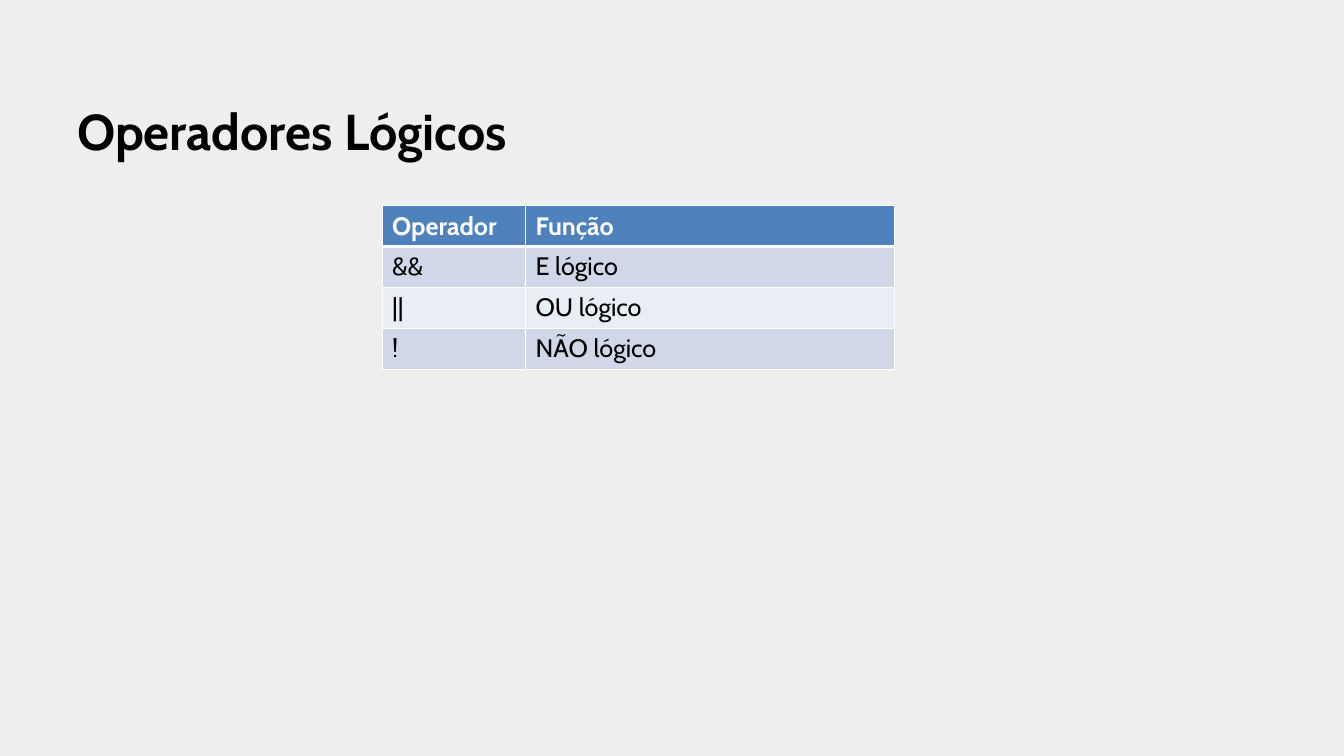
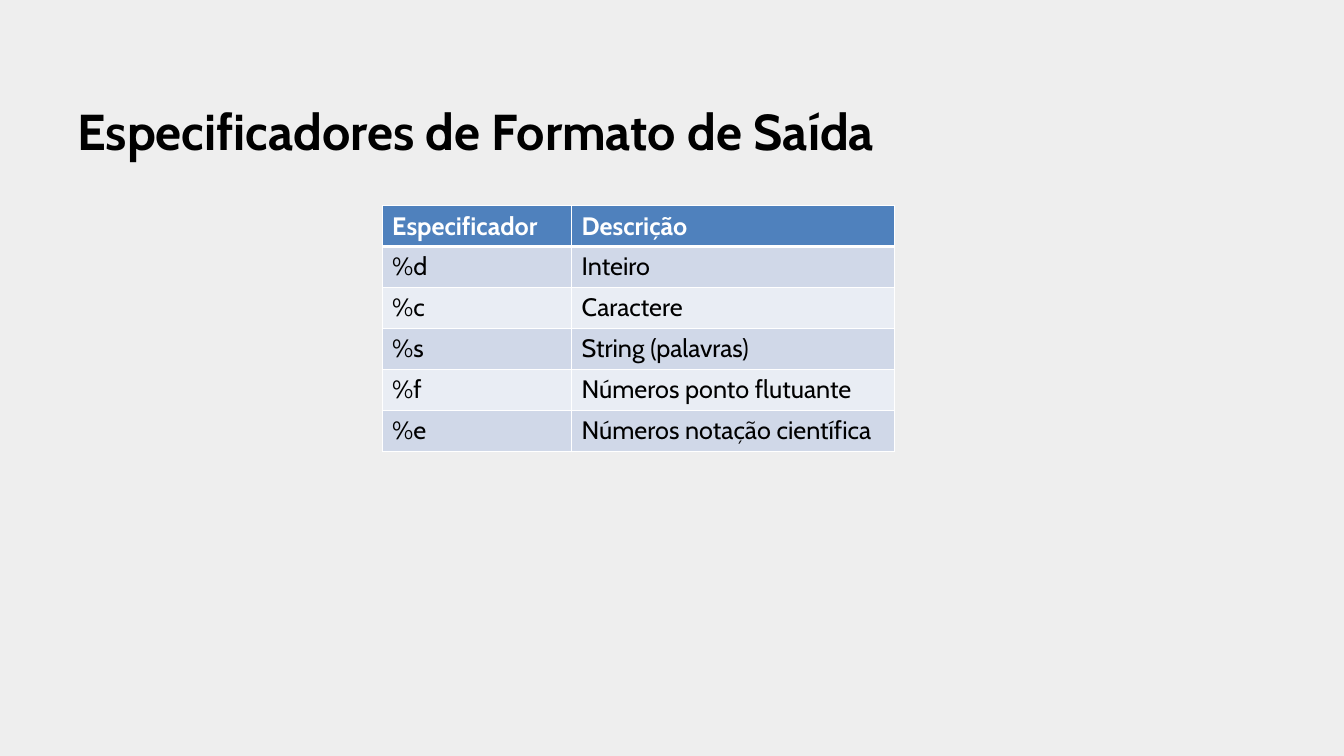
from lxml import etree
from pptx import Presentation
from pptx import util as u
from pptx.dml.color import RGBColor
from pptx.enum import text
from pptx.oxml.ns import qn

COLOURS = {
    "background": "EEEEEE",
    "ink": "000000",
    "header": "4F81BD",
    "odd_row": "D0D8E8",
    "even_row": "E9EDF4",
    "white": "FFFFFF",
}
FONT = "Cabin"
SLIDE_WIDTH, SLIDE_HEIGHT = u.Inches(13.33), u.Inches(7.5)
MARGIN = int(SLIDE_WIDTH * 0.05)
TITLE_TOP, TITLE_HEIGHT = u.Inches(0.39), u.Inches(1.25)
TABLE_LEFT, TABLE_TOP = u.Inches(3.79), u.Inches(2.04)
TABLE_WIDTH, ROW_HEIGHT = u.Inches(5.08), u.Inches(0.406)
THIN, THICK = 1, 3

OPERATORS = [
    ("Operador", "Função"),
    ("&&", "E lógico"),
    ("||", "OU lógico"),
    ("!", "NÃO lógico"),
]
SPECIFIERS = [
    ("Especificador", "Descrição"),
    ("%d", "Inteiro"),
    ("%c", "Caractere"),
    ("%s", "String (palavras)"),
    ("%f", "Números ponto flutuante"),
    ("%e", "Números notação científica"),
]


def colour(name):
    return RGBColor.from_string(COLOURS[name])


def write(frame, wording, size, ink, bold):
    frame.text = wording
    for run in frame.paragraphs[0].runs:
        run.font.name = FONT
        run.font.size = u.Pt(size)
        run.font.bold = bold
        run.font.color.rgb = colour(ink)


def add_title(slide, wording):
    title = slide.shapes.add_textbox(
        MARGIN, TITLE_TOP, SLIDE_WIDTH - 2 * MARGIN, TITLE_HEIGHT)
    title.text_frame.word_wrap = True
    title.text_frame.vertical_anchor = text.MSO_ANCHOR.BOTTOM
    write(title.text_frame, wording, 36, "ink", True)


def add_borders(cell, top, bottom):
    properties = cell._tc.get_or_add_tcPr()
    for side, width in (("L", THIN), ("R", THIN), ("T", top), ("B", bottom)):
        border = etree.SubElement(properties, qn(f"a:ln{side}"), w=str(u.Pt(width)))
        fill = etree.SubElement(border, qn("a:solidFill"))
        etree.SubElement(fill, qn("a:srgbClr"), val=COLOURS["white"])


def style_cell(cell, wording, row):
    is_header = row == 0
    add_borders(cell, THICK if row == 1 else THIN, THICK if is_header else THIN)
    band = "header" if is_header else ("even_row", "odd_row")[row % 2]
    cell.fill.solid()
    cell.fill.fore_color.rgb = colour(band)
    write(cell.text_frame, wording, 18, "white" if is_header else "ink", is_header)


def add_reference_table(slide, entries, first_share):
    table = slide.shapes.add_table(
        len(entries), 2, TABLE_LEFT, TABLE_TOP,
        TABLE_WIDTH, ROW_HEIGHT * len(entries)).table
    table.columns[0].width = int(TABLE_WIDTH * first_share)
    table.columns[1].width = TABLE_WIDTH - table.columns[0].width
    for row, entry in enumerate(entries):
        table.rows[row].height = ROW_HEIGHT
        for column, wording in enumerate(entry):
            style_cell(table.cell(row, column), wording, row)


def add_reference_slide(deck, title, entries, first_share):
    slide = deck.slides.add_slide(deck.slide_layouts[6])
    add_title(slide, title)
    add_reference_table(slide, entries, first_share)


def main():
    deck = Presentation()
    deck.slide_width, deck.slide_height = SLIDE_WIDTH, SLIDE_HEIGHT
    backdrop = deck.slide_master.background.fill
    backdrop.solid()
    backdrop.fore_color.rgb = colour("background")
    add_reference_slide(deck, "Operadores Lógicos", OPERATORS, 0.28)
    add_reference_slide(
        deck, "Especificadores de Formato de Saída", SPECIFIERS, 0.37)
    deck.save("out.pptx")


if __name__ == "__main__":
    main()
